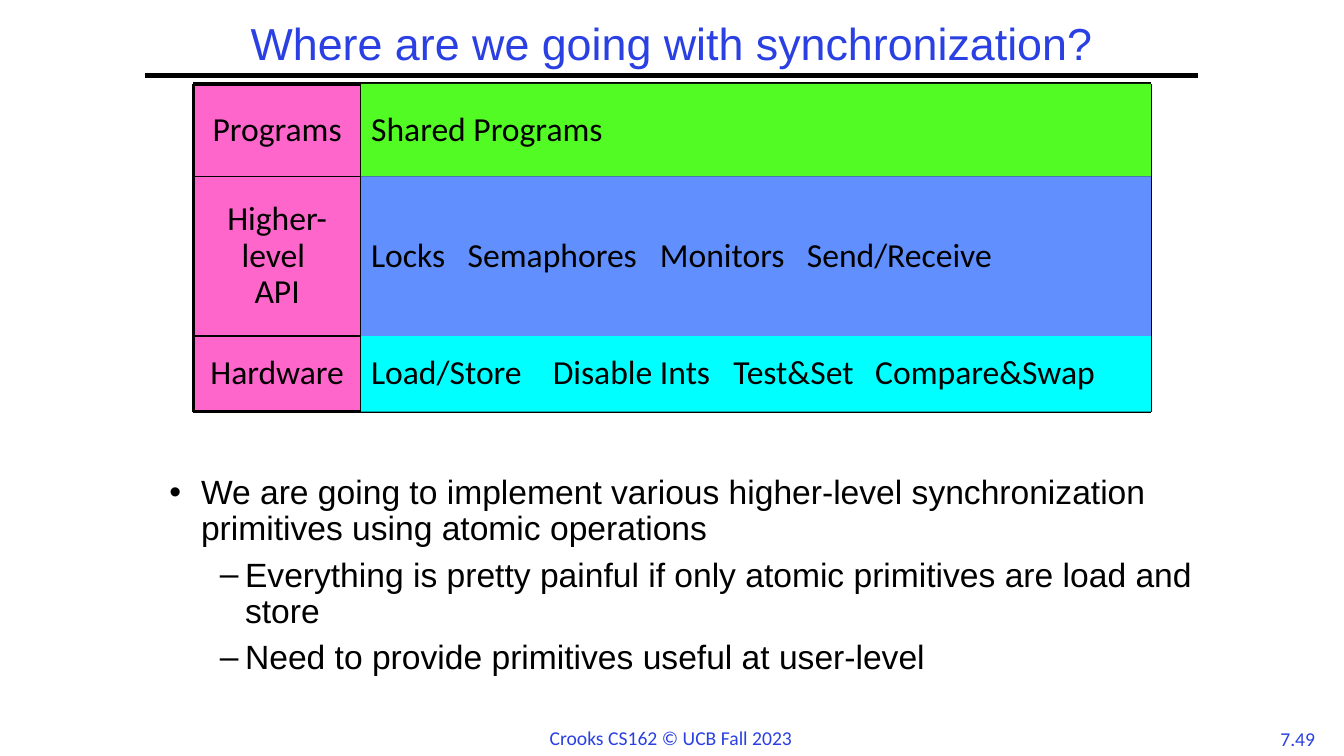
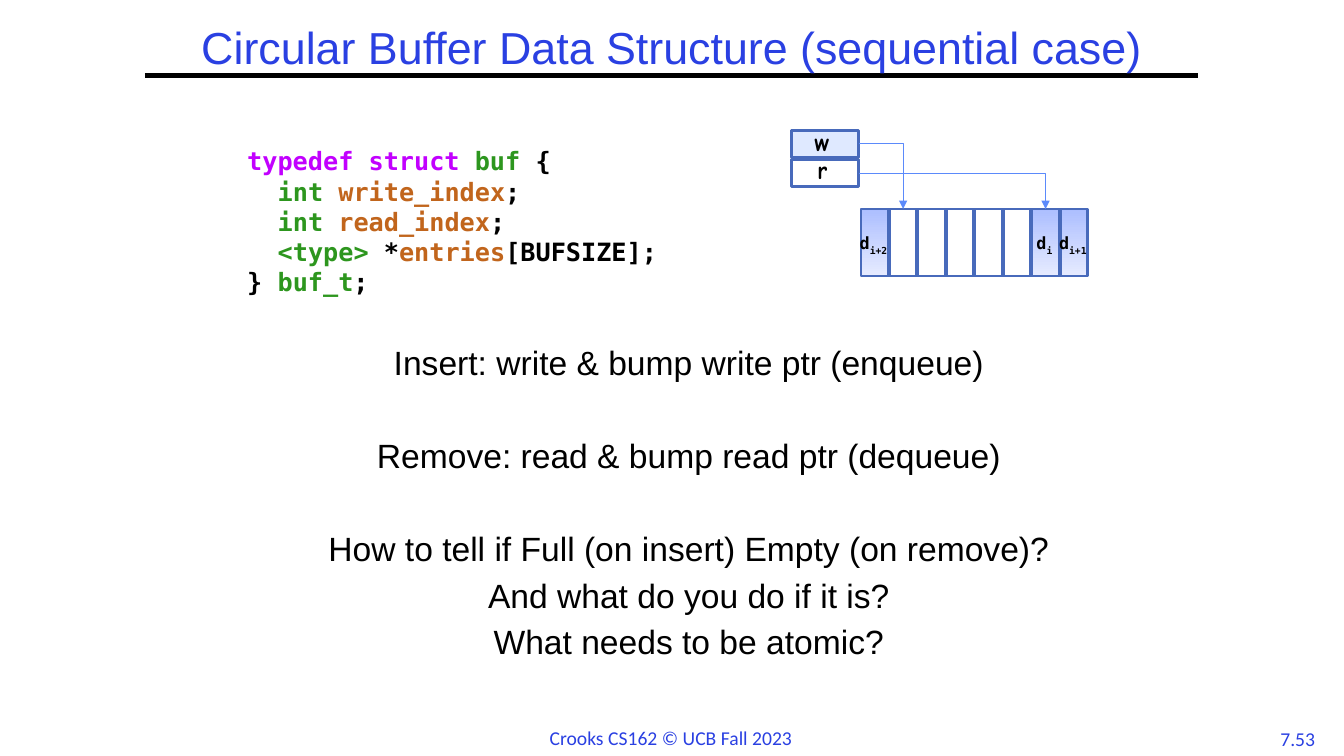
from lxml import etree
from pptx import Presentation
from pptx.dml.color import RGBColor
from pptx.enum.shapes import MSO_CONNECTOR, MSO_SHAPE
from pptx.enum.text import MSO_ANCHOR, PP_ALIGN
from pptx.oxml.ns import qn
from pptx.util import Emu, Pt

PX = 9525
SLIDE_WIDTH, SLIDE_HEIGHT = 1280, 720
LEFT, CENTER = PP_ALIGN.LEFT, PP_ALIGN.CENTER
TOP, MIDDLE = MSO_ANCHOR.TOP, MSO_ANCHOR.MIDDLE
RECTANGLE = MSO_SHAPE.RECTANGLE
STRAIGHT, ELBOW = MSO_CONNECTOR.STRAIGHT, MSO_CONNECTOR.ELBOW
SIDE_TOP, SIDE_RIGHT = 0, 3

COLORS = {
    "title": "2A40E2",
    "black": "000000",
    "label": "FF66CC",
    "programs": "53FB25",
    "api": "618FFD",
    "hardware": "00FFFF",
    "keyword": "C200FF",
    "type": "2D961E",
    "name": "C1651C",
    "outline": "486ABB",
    "arrow": "5B8AFB",
    "register": "DFE9FF",
    "entry_top": "ACBEFF",
    "entry_bottom": "E6EBFF",
}
SANS, LABEL, CODE, HAND = "Arial", "Calibri", "DejaVu Sans Mono", "Comic Neue"
GAP, WIDE_GAP = 7.2, 40.8


def px(value):
    return Emu(round(value * PX))


def rgb(name):
    return RGBColor.from_string(COLORS[name])


def add_run(paragraph, text, font, size, color="black", bold=False, baseline=None):
    run = paragraph.add_run()
    run.text = text
    run.font.name = font
    run.font.size = Pt(size)
    run.font.bold = bold
    run.font.color.rgb = rgb(color)
    if baseline:
        run.font._element.set("baseline", str(baseline))


def next_paragraph(frame, align=LEFT, spacing=None, before=None):
    first = frame.paragraphs[0]
    paragraph = frame.add_paragraph() if first.runs else first
    paragraph.alignment = align
    if spacing:
        paragraph.line_spacing = spacing
    if before:
        paragraph.space_before = Pt(before)
    return paragraph


def set_indent(paragraph, margin, hanging=0, bullet=None):
    properties = paragraph._p.get_or_add_pPr()
    properties.set("marL", str(px(margin)))
    properties.set("indent", str(px(-hanging)))
    if bullet:
        etree.SubElement(properties, qn("a:buFont")).set("typeface", SANS)
        etree.SubElement(properties, qn("a:buChar")).set("char", bullet)


def set_tabs(paragraph, positions):
    tabs = etree.SubElement(paragraph._p.get_or_add_pPr(), qn("a:tabLst"))
    for position in positions:
        tab = etree.SubElement(tabs, qn("a:tab"))
        tab.set("pos", str(px(position)))
        tab.set("algn", "l")


def add_text_frame(slide, box, anchor=TOP, wrap=True):
    frame = slide.shapes.add_textbox(*map(px, box)).text_frame
    frame.word_wrap = wrap
    frame.vertical_anchor = anchor
    return frame


def style_line(connector, color, width):
    connector.line.color.rgb = rgb(color)
    connector.line.width = Pt(width)
    etree.SubElement(connector._element.spPr, qn("a:effectLst"))


def add_line(slide, ends, width):
    style_line(slide.shapes.add_connector(STRAIGHT, *map(px, ends)), "black", width)


def add_slide(presentation, title, title_top, title_spacing, number):
    slide = presentation.slides.add_slide(presentation.slide_layouts[6])
    add_line(slide, (138, 72, 1141, 72), 3)
    for text, box, align in (
        (number, (1208, 688, 56, 32), CENTER),
        ("Crooks CS162 © UCB Fall 2023", (514, 687, 252, 33), LEFT),
    ):
        frame = add_text_frame(slide, box, wrap=False)
        add_run(next_paragraph(frame, align), text, LABEL, 14, "title")
    frame = add_text_frame(slide, (0, title_top, SLIDE_WIDTH, 56), MIDDLE)
    add_run(next_paragraph(frame, CENTER, title_spacing), title, SANS, 32, "title")
    return slide


def add_rectangle(slide, box):
    shape = slide.shapes.add_shape(RECTANGLE, *map(px, box))
    shape.shadow.inherit = False
    shape.fill.background()
    shape.line.fill.background()
    shape.text_frame.vertical_anchor = MIDDLE
    return shape


def add_layer_cell(slide, box, color, align):
    shape = add_rectangle(slide, box)
    shape.fill.solid()
    shape.fill.fore_color.rgb = rgb(color)
    shape.text_frame.word_wrap = True
    return next_paragraph(shape.text_frame, align, 0.9, GAP)


def add_layers(slide, box):
    left, top, width, height = box
    right, bottom = left + width, top + height
    middle = left + 160
    layers = (
        (88, "Programs", "programs", ("Shared Programs",), ()),
        (152, "Higher-level \nAPI", "api",
         ("Locks", "Semaphores", "Monitors", "Send/Receive"), (92, 275, 415)),
        (72, "Hardware", "hardware",
         ("Load/Store", "Disable Ints", "Test&Set", "Compare&Swap"), (173, 345, 480)),
    )
    edges = [top]
    for layer_height, label, *_ in layers:
        cell = (left, edges[-1], middle - left, layer_height)
        paragraph = add_layer_cell(slide, cell, "label", CENTER)
        for index, line in enumerate(label.split("\n")):
            if index:
                paragraph.add_line_break()
            add_run(paragraph, line, LABEL, 24)
        edges.append(edges[-1] + layer_height)
    for y in edges:
        add_line(slide, (left, y, right, y), 2.25 if y in (top, bottom) else 1)
    for x in (left, middle, right):
        add_line(slide, (x, top, x, bottom), 1 if x == middle else 2.25)
    for y, (layer_height, _, color, items, tabs) in zip(edges, layers):
        cell = (middle, y, right - middle, layer_height)
        paragraph = add_layer_cell(slide, cell, color, LEFT)
        set_tabs(paragraph, tabs)
        add_run(paragraph, "\t".join(items), LABEL, 24)


def add_bullets(slide, box):
    frame = add_text_frame(slide, box)
    for text, margin, hanging, bullet in (
        ("We are going to implement various higher-level synchronization "
         "primitives using atomic operations", 30, 30, "•"),
        ("Everything is pretty painful if only atomic primitives are load and store", 72, 24, "–"),
        ("Need to provide primitives useful at user-level", 72, 24, "–"),
    ):
        paragraph = next_paragraph(frame, LEFT, 0.9, GAP)
        set_indent(paragraph, margin, hanging, bullet)
        add_run(paragraph, text, SANS, 24)


def add_code(slide, box):
    lines = (
        (0, (("typedef struct ", "keyword"), ("buf", "type"), (" {", "black"))),
        (29, (("int ", "type"), ("write_index", "name"), (";", "black"))),
        (29, (("int ", "type"), ("read_index", "name"), (";", "black"))),
        (29, (("<type>", "type"), (" *", "black"), ("entries", "name"), ("[BUFSIZE];", "black"))),
        (0, (("} ", "black"), ("buf_t", "type"), (";", "black"))),
    )
    frame = add_text_frame(slide, box)
    for margin, runs in lines:
        paragraph = next_paragraph(frame)
        set_indent(paragraph, margin)
        for text, color in runs:
            add_run(paragraph, text, CODE, 18, color, bold=True)


def add_block(slide, box, insets):
    shape = add_rectangle(slide, box)
    shape.line.color.rgb = rgb("outline")
    shape.line.width = Pt(2)
    frame = shape.text_frame
    frame.word_wrap = False
    frame.margin_left = 0
    frame.margin_top, frame.margin_right, frame.margin_bottom = map(px, insets)
    return shape


def fill_entry(shape, index_text):
    shape.fill.gradient()
    shape.fill.gradient_angle = 270
    for stop, color in zip(shape.fill.gradient_stops, ("entry_top", "entry_bottom")):
        stop.color.rgb = rgb(color)
    paragraph = next_paragraph(shape.text_frame, CENTER)
    add_run(paragraph, "d", CODE, 12, bold=True)
    add_run(paragraph, index_text, CODE, 12, bold=True, baseline=-25000)


def add_pointer(slide, register, entry):
    connector = slide.shapes.add_connector(ELBOW, 0, 0, 0, 0)
    connector.begin_connect(register, SIDE_RIGHT)
    connector.end_connect(entry, SIDE_TOP)
    properties = connector._element.spPr
    properties.find(qn("a:prstGeom")).set("prst", "bentConnector2")
    style_line(connector, "arrow", 0.75)
    line = properties.find(qn("a:ln"))
    etree.SubElement(line, qn("a:tailEnd")).set("type", "triangle")


def add_buffer(slide, box):
    left, top, width, height = box
    entry_height, span, count = 64, 217, 8
    first, pitch = left + width - span, span / count
    entry_top = top + height - entry_height
    entries = [
        add_block(slide, (first + pitch * index, entry_top, 26, entry_height), (4, 2, 0))
        for index in range(count)
    ]
    for index, text in ((0, "i+2"), (6, "i"), (7, "i+1")):
        fill_entry(entries[index], text)
    registers = []
    for row, (name, bottom_inset) in enumerate((("w", 5), ("r", 8))):
        register = add_block(slide, (left, top + 28 * row, 64, 26), (0, 6, bottom_inset))
        add_run(next_paragraph(register.text_frame, CENTER), name, HAND, 18, bold=True)
        registers.append(register)
    registers[0].fill.solid()
    registers[0].fill.fore_color.rgb = rgb("register")
    add_pointer(slide, registers[0], entries[1])
    add_pointer(slide, registers[1], entries[6])


def add_questions(slide, box):
    frame = add_text_frame(slide, box)
    for text, before in (
        ("Insert: write & bump write ptr (enqueue)", GAP),
        ("Remove: read & bump read ptr (dequeue)", WIDE_GAP),
        ("How to tell if Full (on insert) Empty (on remove)?", WIDE_GAP),
        ("And what do you do if it is?", GAP),
        ("What needs to be atomic?", GAP),
    ):
        add_run(next_paragraph(frame, CENTER, 0.9, before), text, SANS, 24)


def main():
    presentation = Presentation()
    presentation.slide_width = px(SLIDE_WIDTH)
    presentation.slide_height = px(SLIDE_HEIGHT)

    slide = add_slide(presentation, "Where are we going with synchronization?", 16, 0.9, "7.49")
    add_layers(slide, (184, 80, 912, 312))
    add_bullets(slide, (152, 448, 1016, 224))

    slide = add_slide(
        presentation, "Circular Buffer Data Structure (sequential case)", 20, 0.85, "7.53")
    add_code(slide, (226, 134, 422, 156))
    add_buffer(slide, (754, 124, 283, 139))
    add_questions(slide, (80, 325, 1152, 323))

    presentation.save("out.pptx")


if __name__ == "__main__":
    main()
